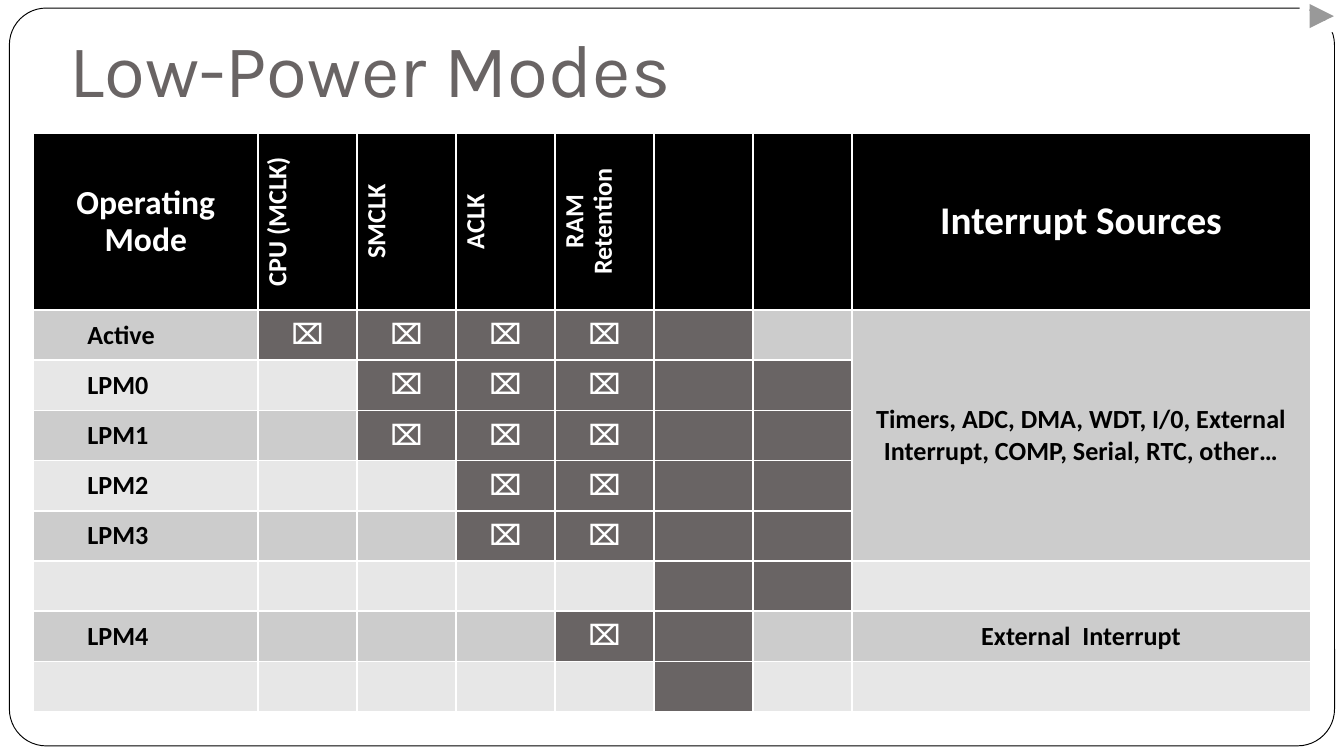
from lxml.etree import SubElement
from pptx import Presentation
from pptx.dml.color import RGBColor
from pptx.enum.shapes import MSO_SHAPE
from pptx.enum.text import MSO_ANCHOR, MSO_AUTO_SIZE, PP_ALIGN
from pptx.oxml.ns import qn
from pptx.util import Inches, Pt

BLACK = RGBColor(0, 0, 0)
WHITE = RGBColor(255, 255, 255)
GRAY = RGBColor(0x69, 0x64, 0x64)
DARK = RGBColor(0xCC, 0xCC, 0xCC)
LIGHT = RGBColor(0xE7, 0xE7, 0xE7)

HEADS = ["Operating\nMode", "CPU (MCLK)", "SMCLK", "ACLK", "RAM Retention",
         "", "", "Interrupt Sources"]
MARK = "⌧"
MODES = [
    ("Active", "xxxx#.", "Timers, ADC, DMA, WDT, I/0, External Interrupt, "
                         "COMP, Serial, RTC, other…"),
    ("LPM0", ".xxx##", ""),
    ("LPM1", ".xxx##", ""),
    ("LPM2", "..xx##", ""),
    ("LPM3", "..xx##", ""),
    ("", "....##", ""),
    ("LPM4", "...x#.", "External  Interrupt"),
    ("", "....#.", ""),
]


def add_shape(slide, kind, left, top, width, height):
    shape = slide.shapes.add_shape(
        kind, Inches(left), Inches(top), Inches(width), Inches(height))
    shape.shadow.inherit = False
    shape.fill.solid()
    shape.fill.fore_color.rgb = WHITE
    return shape


def add_frame(slide):
    frame = add_shape(slide, MSO_SHAPE.ROUNDED_RECTANGLE,
                      0.07, 0.06, 9.86, 5.49)
    frame.adjustments[0] = 0.05
    frame.line.color.rgb = BLACK
    frame.line.width = Pt(0.5)


def add_button(slide):
    button = add_shape(slide, MSO_SHAPE.ACTION_BUTTON_FORWARD_OR_NEXT,
                       9.67, 0, 0.33, 0.24)
    button.line.fill.background()


def set_title(slide):
    title = slide.shapes.title
    title.left, title.top = Inches(0.42), Inches(0)
    title.width, title.height = Inches(9), Inches(0.94)
    frame = title.text_frame
    frame.text = "Low-Power Modes"
    frame.auto_size = MSO_AUTO_SIZE.NONE
    frame.vertical_anchor = MSO_ANCHOR.BOTTOM
    frame.margin_bottom = Inches(0.1)
    para = frame.paragraphs[0]
    para.alignment = PP_ALIGN.LEFT
    font = para.runs[0].font
    font.name = "Karla"
    font.size = Pt(40)
    font.color.rgb = GRAY
    tree = slide.shapes._spTree
    tree.remove(title._element)
    tree.append(title._element)


def set_edges(cell):
    props = cell._tc.get_or_add_tcPr()
    for side in ("lnL", "lnR", "lnT", "lnB"):
        line = SubElement(props, qn("a:" + side), w=str(Pt(1)))
        fill = SubElement(line, qn("a:solidFill"))
        SubElement(fill, qn("a:srgbClr"), val=str(WHITE))


def set_cell(cell, text, fill, color, size=14, align=PP_ALIGN.CENTER,
             space=None):
    set_edges(cell)
    cell.fill.solid()
    cell.fill.fore_color.rgb = fill
    cell.vertical_anchor = MSO_ANCHOR.MIDDLE
    cell.margin_top = cell.margin_bottom = Inches(0.04)
    cell.text_frame.text = text
    for para in cell.text_frame.paragraphs:
        para.alignment = align
        para.line_spacing = space
        for run in para.runs:
            run.font.name = "Calibri"
            run.font.size = Pt(size)
            run.font.bold = True
            run.font.color.rgb = color
        if not para.runs:
            SubElement(para._p, qn("a:endParaRPr"), sz=str(size * 100))


def fill_head(table):
    last = len(HEADS) - 1
    sizes = {0: 18, last: 21}
    for col, text in enumerate(HEADS):
        cell = table.cell(0, col)
        space = None if col == last else 0.9
        set_cell(cell, text, BLACK, WHITE, sizes.get(col, 14), space=space)
        if text and col not in sizes:
            cell._tc.get_or_add_tcPr().set("vert", "vert270")


def fill_row(table, row, mode, flags, source):
    band = DARK if row % 2 else LIGHT
    name = table.cell(row, 0)
    set_cell(name, mode, band, BLACK, align=PP_ALIGN.LEFT)
    name.margin_left = Inches(0.4)
    for col, flag in enumerate(flags, 1):
        text = MARK if flag == "x" else ""
        fill = band if flag == "." else GRAY
        set_cell(table.cell(row, col), text, fill, WHITE, 15 if text else 14)
    set_cell(table.cell(row, 7), source, band, BLACK)


def add_grid(slide):
    count = len(MODES) + 1
    table = slide.shapes.add_table(
        count, len(HEADS), Inches(0.25), Inches(0.99),
        Inches(9.5), Inches(4.16)).table
    wide, last, tall = 1.67, 3.41, 1.17
    step = (9.5 - wide - last) / 6
    for col, width in zip(table.columns, [wide] + [step] * 6 + [last]):
        col.width = Inches(width)
    pitch = (4.16 - tall) / len(MODES)
    for row, height in zip(table.rows, [tall] + [pitch] * len(MODES)):
        row.height = Inches(height)
    fill_head(table)
    for row, mode in enumerate(MODES, 1):
        fill_row(table, row, *mode)
    table.cell(1, 7).merge(table.cell(5, 7))


def main():
    deck = Presentation()
    deck.slide_width = Inches(10)
    deck.slide_height = Inches(10 * 9 / 16)
    slide = deck.slides.add_slide(deck.slide_layouts[5])
    add_frame(slide)
    set_title(slide)
    add_grid(slide)
    add_button(slide)
    deck.save("out.pptx")


if __name__ == "__main__":
    main()
